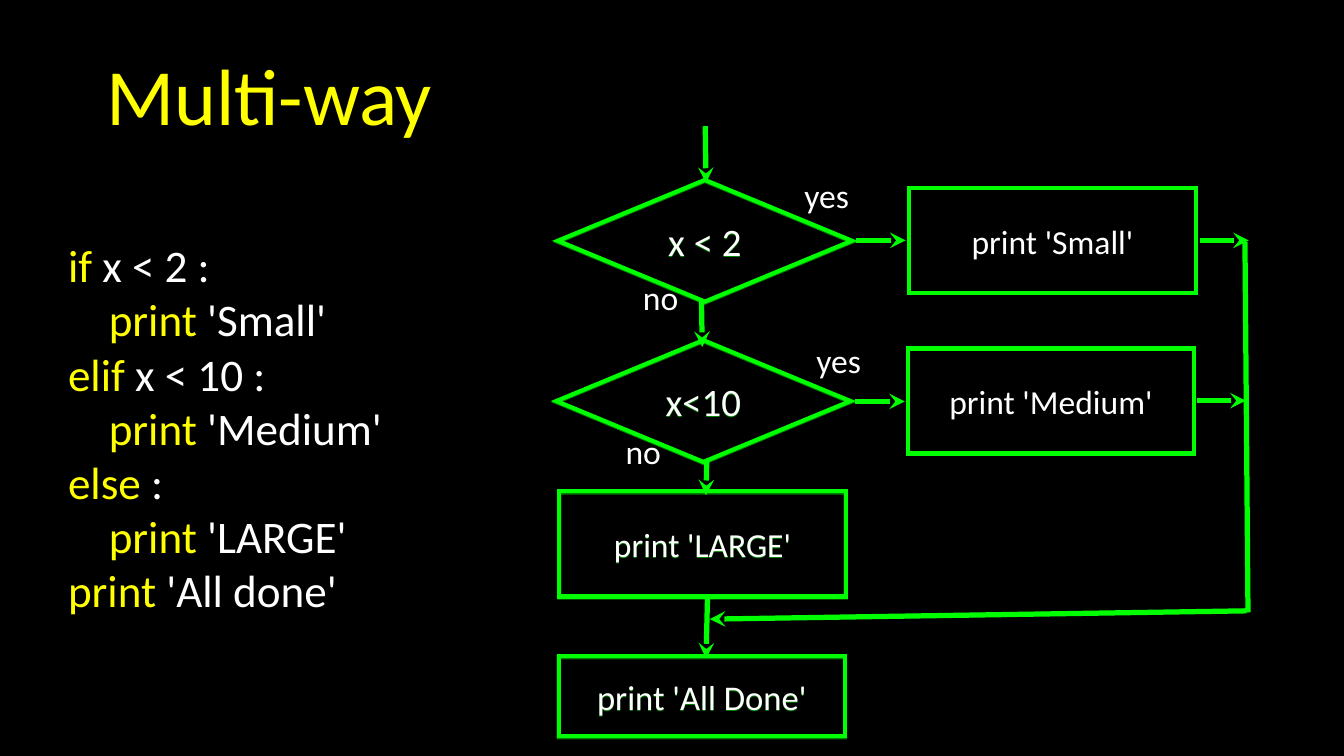
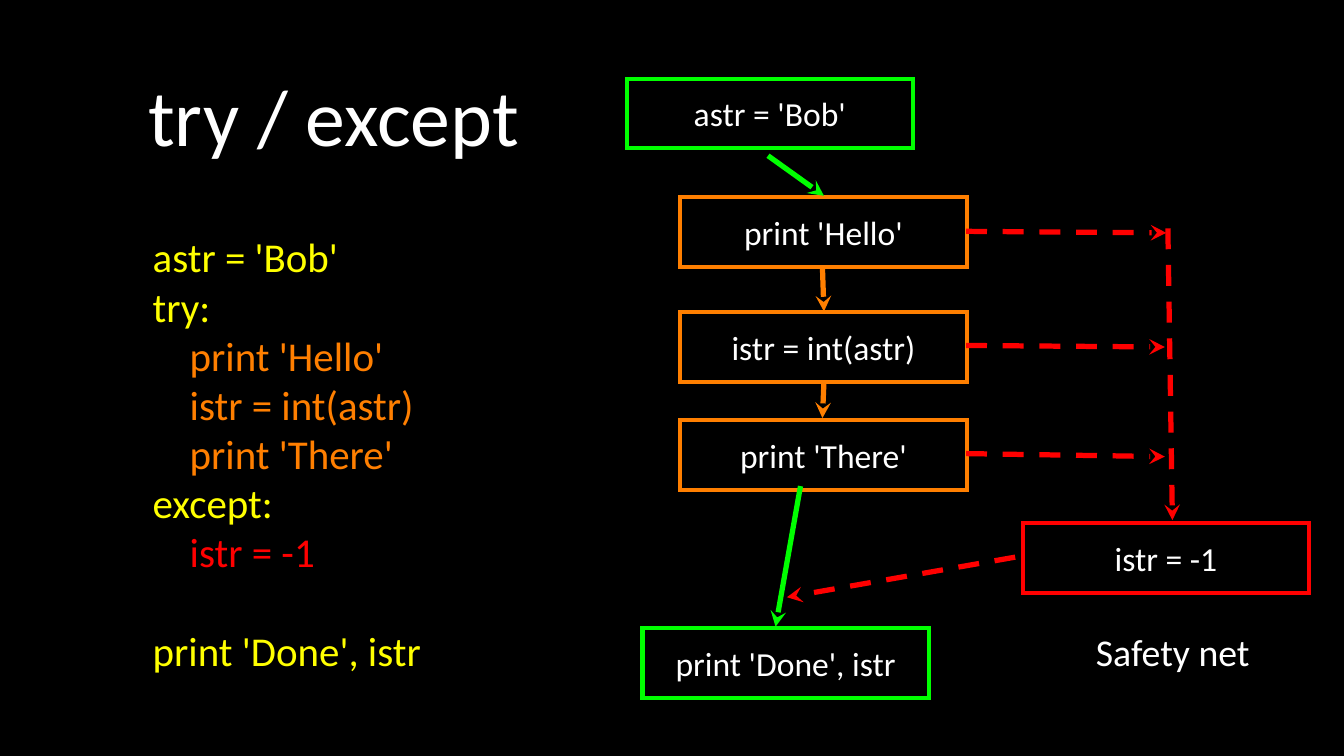
"""Build two slides on branching and try / except, each with code and a flowchart."""
import pptx
import pptx.util
import pptx.dml.color
import pptx.enum.dml
import pptx.enum.shapes
import pptx.enum.text
import pptx.oxml.ns
from lxml import etree

Inches, Pt = pptx.util.Inches, pptx.util.Pt
RGB = pptx.dml.color.RGBColor.from_string
SHAPE = pptx.enum.shapes.MSO_SHAPE
ALIGN = pptx.enum.text.PP_ALIGN
qn = pptx.oxml.ns.qn
COLORS = {"black": "000000", "white": "FFFFFF", "yellow": "FFFF00",
          "green": "00FF00", "orange": "FF7F00", "red": "FF0000"}
BOX_W = 3.79
STEP_H = 0.92
CHOICE_H = 1.39
DIAMOND_W, DIAMOND_H = 3.89, 1.61


def write(shape, text, size=32, color="white", align=ALIGN.CENTER, inset=0, wrap=True, gap_last=0):
    """Fill a shape with lines, each a string or a list of (text, colour) runs."""
    tf = shape.text_frame
    tf.word_wrap = wrap
    tf.vertical_anchor = pptx.enum.text.MSO_ANCHOR.MIDDLE
    tf.margin_left = tf.margin_right = tf.margin_top = tf.margin_bottom = Inches(inset)
    lines = [text] if isinstance(text, str) else text
    for i, line in enumerate(lines):
        p = tf.add_paragraph() if i else tf.paragraphs[0]
        p.alignment = align
        if gap_last and i == len(lines) - 1:
            p.space_before = Pt(gap_last)
        for run_text, run_color in [(line, color)] if isinstance(line, str) else line:
            r = p.add_run()
            r.text = run_text
            r.font.name = "Calibri"
            r.font.size = Pt(size)
            r.font.color.rgb = RGB(COLORS[run_color])


def connect(s, x1, y1, x2, y2, color="green", dash=False, arrow=True):
    """Draw a line whose arrowhead, if any, is at its second point."""
    line = s.shapes.add_connector(pptx.enum.shapes.MSO_CONNECTOR.STRAIGHT,
                                  *map(Inches, (x1, y1, x2, y2)))
    line.line.color.rgb = RGB(COLORS[color])
    line.line.width = Pt(5)
    if dash:
        line.line.dash_style = pptx.enum.dml.MSO_LINE.DASH
    sp_pr = line._element.spPr
    if arrow:
        etree.SubElement(sp_pr.find(qn("a:ln")), qn("a:tailEnd"), type="stealth")
    etree.SubElement(sp_pr, qn("a:effectLst"))


prs = pptx.Presentation()
prs.slide_width, prs.slide_height = Inches(17.78), Inches(10)
bg = prs.slide_master.background.fill
bg.solid()
bg.fore_color.rgb = RGB(COLORS["black"])

multi_way = {
    "title": ("Multi-way", "yellow", (0.61, 0.33, 5.9, 1.81)),
    "code": ((0.9, 3.14, 4.72, 5.02), 43, 0, [
        [("if", "yellow"), (" x < 2 :", "white")],
        [("    print", "yellow"), (" 'Small'", "white")],
        [("elif", "yellow"), (" x < 10 :", "white")],
        [("    print", "yellow"), (" 'Medium'", "white")],
        [("else", "yellow"), (" :", "white")],
        [("    print", "yellow"), (" 'LARGE'", "white")],
        [("print", "yellow"), (" 'All done'", "white")],
    ]),
    "boxes": [
        ("x < 2", SHAPE.DIAMOND, 7.38, 2.38, DIAMOND_W, DIAMOND_H, "green", 37, True),
        ("print 'Small'", SHAPE.RECTANGLE, 12.03, 2.49, BOX_W, CHOICE_H, "green", 32, False),
        ("x<10", SHAPE.DIAMOND, 7.36, 4.5, DIAMOND_W, DIAMOND_H, "green", 37, True),
        ("print 'Medium'", SHAPE.RECTANGLE, 12.01, 4.61, BOX_W, CHOICE_H, "green", 32, False),
        ("print 'LARGE'", SHAPE.RECTANGLE, 7.4, 6.5, BOX_W, CHOICE_H, "green", 32, True),
        ("print 'All Done'", SHAPE.RECTANGLE, 7.39, 8.68, BOX_W, 1.06, "green", 33, True),
    ],
    "labels": [
        ("yes", 10.59, 2.31, 0.69, 0.53, 32),
        ("no", 8.47, 3.67, 0.54, 0.53, 32),
        ("yes", 10.75, 4.5, 0.69, 0.53, 32),
        ("no", 8.24, 5.7, 0.54, 0.53, 32),
    ],
    "lines": [
        (9.33, 1.67, 9.34, 2.42),
        (11.33, 3.18, 11.98, 3.18),
        (15.87, 3.18, 16.52, 3.18),
        (9.28, 3.98, 9.29, 4.59),
        (11.31, 5.31, 11.97, 5.31),
        (15.83, 5.3, 16.48, 5.3),
        (9.35, 6.1, 9.34, 6.55),
        (9.36, 7.9, 9.34, 8.71),
        (16.47, 3.2, 16.51, 8.1, "green", False, False),
        (16.49, 8.08, 9.39, 8.19),
    ],
}

try_except = {
    "title": ("try / except", "white", (1.26, 0.26, 6.31, 2.51)),
    "code": ((2.02, 3.07, 4.08, 5.85), 39, 47, [
        [("astr = 'Bob'", "yellow")],
        [("try:", "yellow")],
        [("    print 'Hello'", "orange")],
        [("    istr = int(astr)", "orange")],
        [("    print 'There'", "orange")],
        [("except:", "yellow")],
        [("    istr = -1", "red")],
        [("print 'Done', istr", "yellow")],
    ]),
    "boxes": [
        (text, SHAPE.RECTANGLE, x, y, BOX_W, STEP_H, color, 32, False)
        for text, x, y, color in [
            ("astr = 'Bob'", 8.29, 1.04, "green"),
            ("print 'Hello'", 9, 2.61, "orange"),
            ("istr = int(astr)", 9, 4.13, "orange"),
            ("print 'There'", 9, 5.56, "orange"),
            ("print 'Done', istr", 8.5, 8.31, "green"),
            ("istr = -1", 13.53, 6.92, "red"),
        ]
    ],
    "labels": [("Safety net", 14.34, 8.32, 2.35, 0.6, 36)],
    "lines": [
        (10.16, 2.06, 10.9, 2.59),
        (10.88, 3.53, 10.9, 4.12, "orange"),
        (10.9, 5.05, 10.88, 5.53, "orange"),
        (10.59, 6.43, 10.26, 8.29),
        (12.78, 3.06, 15.43, 3.08, "red", True),
        (12.78, 4.57, 15.41, 4.59, "red", True),
        (12.78, 6, 15.41, 6.04, "red", True),
        (15.45, 3.02, 15.51, 6.88, "red", True),
        (13.43, 7.37, 10.41, 7.9, "red", True),
    ],
}

for content in (multi_way, try_except):
    s = prs.slides.add_slide(prs.slide_layouts[5])

    text, color, place = content["title"]
    title = s.shapes.title
    title.left, title.top, title.width, title.height = map(Inches, place)
    write(title, text, size=76, color=color, inset=0.04)

    place, size, gap, lines = content["code"]
    code = s.shapes.add_textbox(*map(Inches, place))
    write(code, lines, size=size, align=ALIGN.LEFT, gap_last=gap)

    for text, kind, x, y, w, h, color, size, glow in content["boxes"]:
        sp = s.shapes.add_shape(kind, *map(Inches, (x, y, w, h)))
        sp.shadow.inherit = False
        sp.fill.background()
        sp.line.color.rgb = RGB(COLORS[color])
        sp.line.width = Pt(4)
        sp_pr = sp._element.spPr
        etree.SubElement(sp_pr.find(qn("a:ln")), qn("a:miter"), lim="800000")
        if glow:
            shadow = etree.SubElement(sp_pr.find(qn("a:effectLst")), qn("a:outerShdw"),
                                      dist=str(Pt(1)), dir="5400000")
            tint = etree.SubElement(shadow, qn("a:srgbClr"), val=COLORS[color])
            etree.SubElement(tint, qn("a:alpha"), val="50000")
        write(sp, text, size=size)

    for text, x, y, w, h, size in content["labels"]:
        label = s.shapes.add_textbox(*map(Inches, (x, y, w, h)))
        write(label, text, size=size, wrap=False)

    for line in content["lines"]:
        connect(s, *line)

prs.save("out.pptx")
